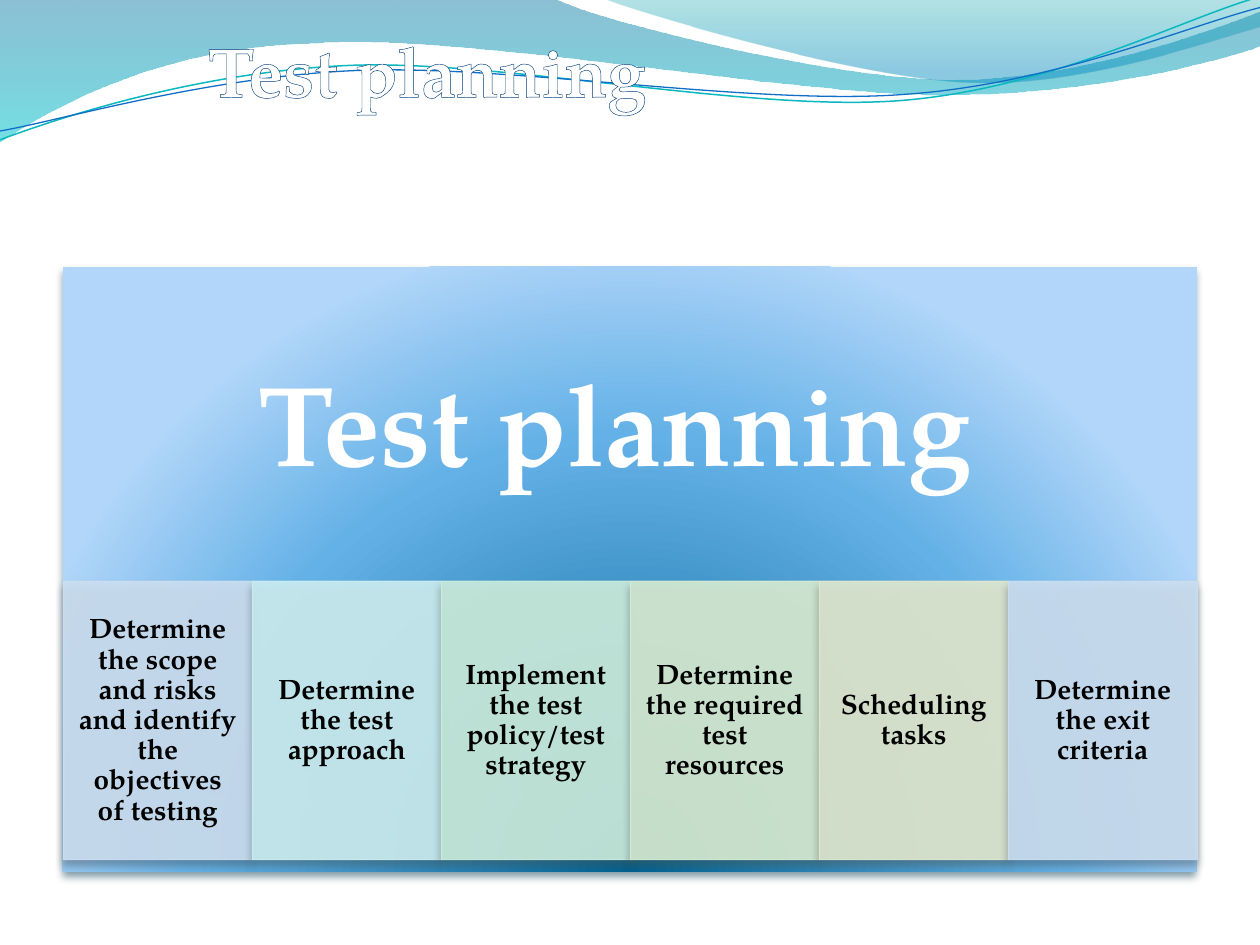
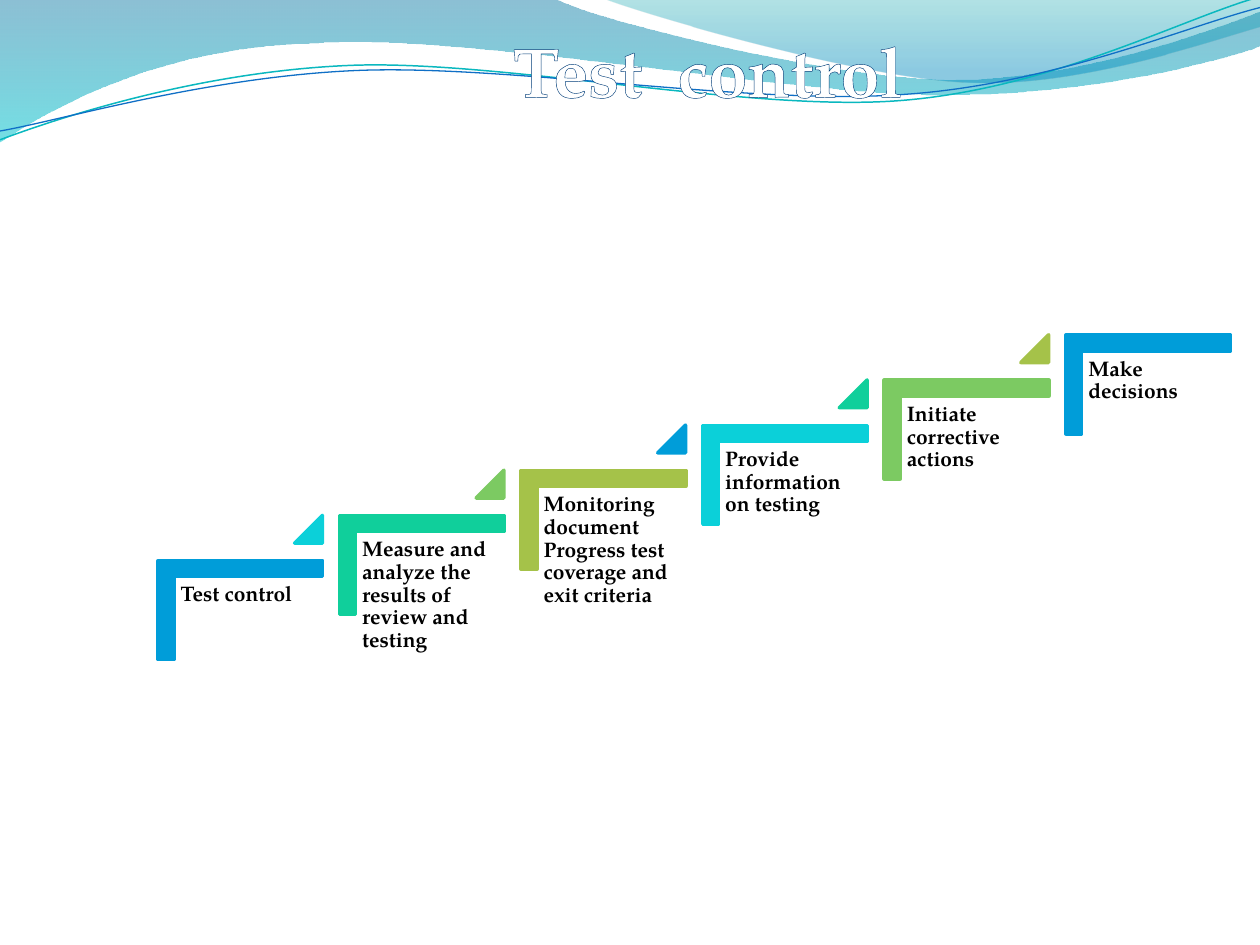
from lxml import etree
from pptx import Presentation
from pptx.dml.color import RGBColor
from pptx.enum.shapes import MSO_SHAPE
from pptx.enum.text import MSO_ANCHOR, MSO_AUTO_SIZE, PP_ALIGN
from pptx.oxml import parse_xml
from pptx.oxml.ns import nsdecls, qn
from pptx.util import Cm, Pt

RECTANGLE, CORNER, TRIANGLE = MSO_SHAPE.RECTANGLE, MSO_SHAPE.CORNER, MSO_SHAPE.ISOSCELES_TRIANGLE
LEFT, CENTER = PP_ALIGN.LEFT, PP_ALIGN.CENTER
TOP, MIDDLE = MSO_ANCHOR.TOP, MSO_ANCHOR.MIDDLE
GROW = MSO_AUTO_SIZE.SHAPE_TO_FIT_TEXT
FONT = "TeX Gyre Pagella"
COLORS = {
    "white": "FFFFFF", "black": "000000",
    "outline dark": "003D78", "outline light": "6A98F8",
    "wave teal": "0AB8BF", "wave blue": "0F6FC6",
    "blue": "009DD9", "cyan": "0BD0D9", "mint": "10CF9B", "green": "7CCA62", "olive": "A5C249",
    "pale blue": "CCDFF1", "pale cyan": "CCEEF1", "pale mint": "CCEDDE",
    "pale green": "D7ECD3", "pale olive": "E1E9D0",
}
DOWNWARD = '<a:lin ang="5400000" scaled="0"/>'
FROM_BELOW = '<a:path path="circle"><a:fillToRect l="50000" t="130000" r="50000" b="-30000"/></a:path>'


def gradient(stops, direction):
    """Gradient fill from (percent, colour, opacity percent) stops."""
    marks = "".join(
        f'<a:gs pos="{place * 1000}"><a:srgbClr val="{color}"><a:alpha val="{opacity * 1000}"/></a:srgbClr></a:gs>'
        for place, color, opacity in stops)
    return parse_xml(f'<a:gradFill {nsdecls("a")} rotWithShape="1"><a:gsLst>{marks}</a:gsLst>{direction}</a:gradFill>')


def write(box, texts, size, color, align=LEFT, anchor=TOP, insets=(0.25, 0.13, 0.25, 0.13)):
    """Put bold runs in the box; insets are left, top, right, bottom."""
    frame = box.text_frame
    frame.word_wrap = True
    frame.vertical_anchor = anchor
    frame.margin_left, frame.margin_top, frame.margin_right, frame.margin_bottom = map(Cm, insets)
    para = frame.paragraphs[0]
    para.alignment = align
    para.line_spacing = 0.9
    for text in texts:
        span = para.add_run()
        span.text = text
        span.font.name, span.font.size, span.font.bold = FONT, Pt(size), True
        span.font.color.rgb = RGBColor.from_string(COLORS[color])
    return para


deck = Presentation()
deck.slide_width, deck.slide_height = Cm(25.4), Cm(19.05)
layout = deck.slide_layouts[5]

# Titles: runs, left, width, alignment
pages = []
for texts, left, width, align in [(["Test planning"], 3.94, 19.76, LEFT),
                                  (["Test", " ", "control"], 4.01, 20.52, CENTER)]:
    page = deck.slides.add_slide(layout)
    box = page.shapes.title
    box.left, box.top, box.width, box.height = Cm(left), Cm(0.42), Cm(width), Cm(1.96)
    write(box, texts, 40, "white", align).line_spacing = 1.0
    box.text_frame.auto_size = GROW
    for text, props in zip(texts, box.element.iter(qn("a:rPr"))):
        outline = parse_xml(f'<a:ln {nsdecls("a")} w="31550"/>')
        outline.append(gradient([(25, COLORS["outline dark"], 100), (80, COLORS["outline light"], 100)], DOWNWARD))
        props.insert(0, outline)
        if text == " ":
            props.set("spc", "1000")  # wide word gap
    pages.append(page)
planning, control = pages

# Waves: start, then straight (one point) or curved (three points) pieces, in thousandths of the slide width
UNIT = Cm(25.4) / 1000
waves = [
    ((0, 0), [[(440, -1)], [(476, 17), (664, 63), (758, 63)], [(853, 63), (958, 26), (1000, 9)],
              [(1001, 36)], [(983, 44), (870, 76), (746, 75)], [(622, 75), (382, 28), (257, 34)],
              [(129, 36), (46, 83), (-1, 113)], [(0, 0)]],
     [(0, "0074A1", 45), (100, "00C6CF", 55)], None, 0),
    ((479, -1), [[(509, 11), (682, 62), (769, 65)], [(856, 69), (961, 32), (1000, 21)],
                 [(1000, 0)], [(479, -1)]],
     [(0, "00A1A9", 30), (80, "008BBF", 45)], None, 0),
    ((0, 111), [[(48, 93), (158, 57), (277, 52)], [(395, 47), (593, 89), (713, 80)],
                [(833, 71), (938, 15), (998, -2)]], None, "wave teal", 0.85),
    ((0, 104), [[(47, 96), (164, 61), (283, 56)], [(403, 51), (597, 84), (717, 75)],
                [(836, 67), (941, 21), (1000, 6)]], None, "wave blue", 0.75),
]
for order, (start, pieces, stops, line_color, weight) in enumerate(waves):
    points = [(round(x * UNIT), round(y * UNIT)) for x, y in [start, *sum(pieces, [])]]
    builder = planning.shapes.build_freeform(*points[0])
    builder.add_line_segments(points[1:], close=stops is not None)
    wave = builder.convert_to_shape()

    # Turn each run of three points into one curve
    segments = iter(list(wave.element.iter(qn("a:lnTo"))))
    for piece in pieces:
        first, *others = [next(segments) for _ in piece]
        if others:
            first.tag = qn("a:cubicBezTo")
            for other in others:
                first.append(other[0])
                other.getparent().remove(other)

    wave.shadow.inherit = False
    wave.fill.background()
    if stops:
        wave.line.fill.background()
        wave_props = wave.element.spPr
        wave_props.replace(wave_props.find(qn("a:noFill")), gradient(stops, DOWNWARD))
    else:
        wave.line.color.rgb = RGBColor.from_string(COLORS[line_color])
        wave.line.width = Pt(weight)
    # The layout carries the waves for both slides
    layout.shapes.element.insert(2 + order, wave.element)

# Test planning: large panel and six activities
panel = planning.shapes.add_shape(RECTANGLE, Cm(1.27), Cm(5.38), Cm(22.86), Cm(12.19))
panel.fill.background()
panel.line.fill.background()
panel_props = panel.element.spPr
panel_props.replace(panel_props.find(qn("a:noFill")),
                    gradient([(0, "006091", 100), (68, "64B1E7", 100), (100, "B1D6F9", 100)], FROM_BELOW))
heading = planning.shapes.add_textbox(Cm(1.27), Cm(5.38), Cm(22.86), Cm(6.58))
write(heading, ["Test planning"], 65, "white", CENTER, MIDDLE, (1.3, 1.3, 1.9, 1.3))

shaded = [(panel, "00374C")]
activities = [
    ("Determine the scope and risks and identify the objectives of testing", "pale blue", "474E55"),
    ("Determine the test approach", "pale cyan", "475455"),
    ("Implement the test policy/test strategy", "pale mint", "47544E"),
    ("Determine the required test resources", "pale green", "4B534A"),
    ("Scheduling tasks", "pale olive", "4F5249"),
    ("Determine the exit criteria", "pale blue", "474E55"),
]
for index, (text, color, shade) in enumerate(activities):
    cell = planning.shapes.add_shape(RECTANGLE, Cm(1.28 + 3.81 * index), Cm(11.72), Cm(3.81), Cm(5.61))
    cell.fill.solid()
    cell.fill.fore_color.rgb = cell.line.color.rgb = RGBColor.from_string(COLORS[color])
    cell.line.width = Pt(0.75)
    for tint in list(cell.element.spPr.iter(qn("a:srgbClr"))):
        etree.SubElement(tint, qn("a:alpha"), val="90000")
    write(cell, [text], 16, "black", CENTER, MIDDLE, (0.31, 0.05, 0.32, 0.05))
    shaded.append((cell, shade))

# Soft shadows below the panel and its cells
for shape, shade in shaded:
    shape.shadow.inherit = False
    shape.element.spPr.find(qn("a:effectLst")).append(parse_xml(
        f'<a:outerShdw {nsdecls("a")} blurRad="57150" dist="38100" dir="5400000" rotWithShape="0">'
        f'<a:srgbClr val="{shade}"><a:alpha val="48000"/></a:srgbClr></a:outerShdw>'))

# Test control: rising staircase, colours run on from corner to triangle
steps = [
    "Test control",
    "Measure and analyze the results of review and testing",
    "Monitoring document Progress test coverage and exit criteria",
    "Provide information on testing",
    "Initiate corrective actions",
    "Make decisions",
]
cycle = ["blue", "cyan", "mint", "green", "olive"]
for index, text in enumerate(steps):
    left, top = 3.85 + 3.66 * index, 10.64 - 0.91 * index
    corner = control.shapes.add_shape(CORNER, Cm(left), Cm(top), Cm(1.99), Cm(3.32))
    corner.rotation = 90
    corner.adjustments[0] = corner.adjustments[1] = 0.16
    marks = [corner]
    label = control.shapes.add_textbox(Cm(left - 0.34), Cm(top + 1), Cm(3), Cm(2.62))
    write(label, [text], 12, "black", insets=(0.13, 0.13, 0.13, 0.13))
    if index < len(steps) - 1:
        triangle = control.shapes.add_shape(TRIANGLE, Cm(left + 2.09), Cm(top - 0.25), Cm(0.56), Cm(0.56))
        triangle.adjustments[0] = 1
        marks.append(triangle)
    for offset, mark in enumerate(marks):
        mark.shadow.inherit = False
        mark.fill.solid()
        tone = RGBColor.from_string(COLORS[cycle[(2 * index + offset) % len(cycle)]])
        mark.fill.fore_color.rgb = mark.line.color.rgb = tone
        mark.line.width = Pt(2)

deck.save("out.pptx")
